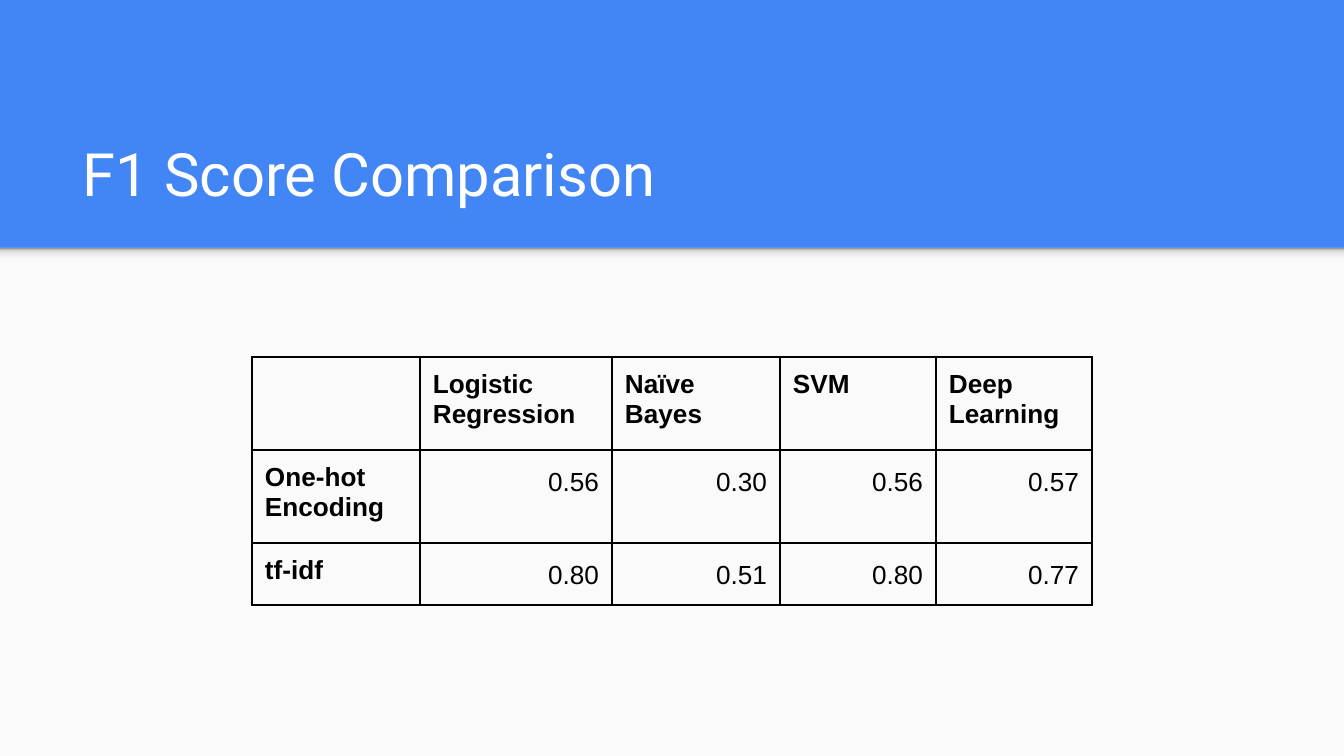
from copy import deepcopy
from dataclasses import dataclass

from lxml.etree import SubElement
from pptx import Presentation
from pptx.dml.color import RGBColor
from pptx.enum.shapes import MSO_SHAPE
from pptx.enum.text import MSO_ANCHOR, PP_ALIGN
from pptx.oxml.ns import qn
from pptx.util import Pt

WIDTH, HEIGHT = 1344, 756
SCALE = 9144000 / WIDTH


def px(n):
    return round(n * SCALE)


@dataclass(frozen=True)
class Theme:
    blue: str = "4285F4"
    paper: str = "FAFAFA"
    white: str = "FFFFFF"
    black: str = "000000"
    shade: tuple = ((0, "F9F9F9"), (0.36, "F9F9F9"), (0.8, "DEDEDE"), (1, "999999"))
    head: str = "Roboto"
    body: str = "Arial"
    big: int = 32
    small: int = 14
    rule: float = 0.75
    inset: int = 13


class Deck:
    def __init__(self, theme):
        self.theme = theme
        self.file = Presentation()
        self.file.slide_width, self.file.slide_height = px(WIDTH), px(HEIGHT)
        self.slide = self.file.slides.add_slide(self.file.slide_layouts[6])
        fill = self.slide.background.fill
        fill.solid()
        fill.fore_color.rgb = RGBColor.from_string(theme.blue)

    def rect(self, *box):
        shape = self.slide.shapes.add_shape(MSO_SHAPE.RECTANGLE, *map(px, box))
        shape.shadow.inherit = False
        shape.line.fill.background()
        return shape

    def panel(self, *box):
        fill = self.rect(*box).fill
        fill.solid()
        fill.fore_color.rgb = RGBColor.from_string(self.theme.paper)

    def fade(self, *box):
        """Add a band that darkens from bottom to top."""
        shape = self.rect(*box)
        shape.fill.gradient()
        shape.fill.gradient_angle = 90
        stops = shape.element.spPr.find(".//" + qn("a:gsLst"))
        while len(stops) < len(self.theme.shade):
            stops.append(deepcopy(stops[0]))
        for stop, (place, color) in zip(shape.fill.gradient_stops, self.theme.shade):
            stop.position = place
            stop.color.rgb = RGBColor.from_string(color)

    def style(self, para, face, size, color, bold=False):
        for run in para.runs:
            font = run.font
            font.name, font.size, font.bold = face, Pt(size), bold
            font.color.rgb = RGBColor.from_string(color)

    def pad(self, area):
        inset = px(self.theme.inset)
        area.margin_left = area.margin_right = inset
        area.margin_top = area.margin_bottom = inset

    def title(self, text, *box):
        frame = self.slide.shapes.add_textbox(*map(px, box)).text_frame
        frame.word_wrap = True
        frame.vertical_anchor = MSO_ANCHOR.BOTTOM
        self.pad(frame)
        frame.text = text
        self.style(frame.paragraphs[0], self.theme.head, self.theme.big, self.theme.white)

    def border(self, cell):
        props = cell._tc.get_or_add_tcPr()
        for spot, side in enumerate(("lnL", "lnR", "lnT", "lnB")):
            line = SubElement(props, qn("a:" + side), w=str(Pt(self.theme.rule)))
            fill = SubElement(line, qn("a:solidFill"))
            SubElement(fill, qn("a:srgbClr"), val=self.theme.black)
            props.remove(line)
            props.insert(spot, line)

    def cell(self, cell, text, label):
        """Fill one cell: labels are bold, values sit on the right."""
        cell.fill.background()
        self.pad(cell)
        self.border(cell)
        cell.text_frame.text = text
        para = cell.text_frame.paragraphs[0]
        if not label:
            para.alignment = PP_ALIGN.RIGHT
            para.line_spacing = 1.15
        self.style(para, self.theme.body, self.theme.small, self.theme.black, label)

    def table(self, left, top, wide, high, rows):
        box = map(px, (left, top, sum(wide), sum(high)))
        grid = self.slide.shapes.add_table(len(high), len(wide), *box).table
        for col, size in zip(grid.columns, wide):
            col.width = px(size)
        for row, size in zip(grid.rows, high):
            row.height = px(size)
        for r, row in enumerate(rows):
            for c, text in enumerate(row):
                self.cell(grid.cell(r, c), text, r == 0 or c == 0)


def main():
    scores = (
        ("", "Logistic Regression", "Naïve Bayes", "SVM", "Deep Learning"),
        ("One-hot Encoding", "0.56", "0.30", "0.56", "0.57"),
        ("tf-idf", "0.80", "0.51", "0.80", "0.77"),
    )
    split = 248
    deck = Deck(Theme())
    deck.panel(0, split, WIDTH, HEIGHT - split)
    deck.fade(0, split, WIDTH, 16)
    deck.title("F1 Score Comparison", 70, 109, 1208, 113)
    deck.table(252, 357, (168, 192, 168, 156, 156), (93, 93, 62), scores)
    deck.file.save("out.pptx")


if __name__ == "__main__":
    main()
